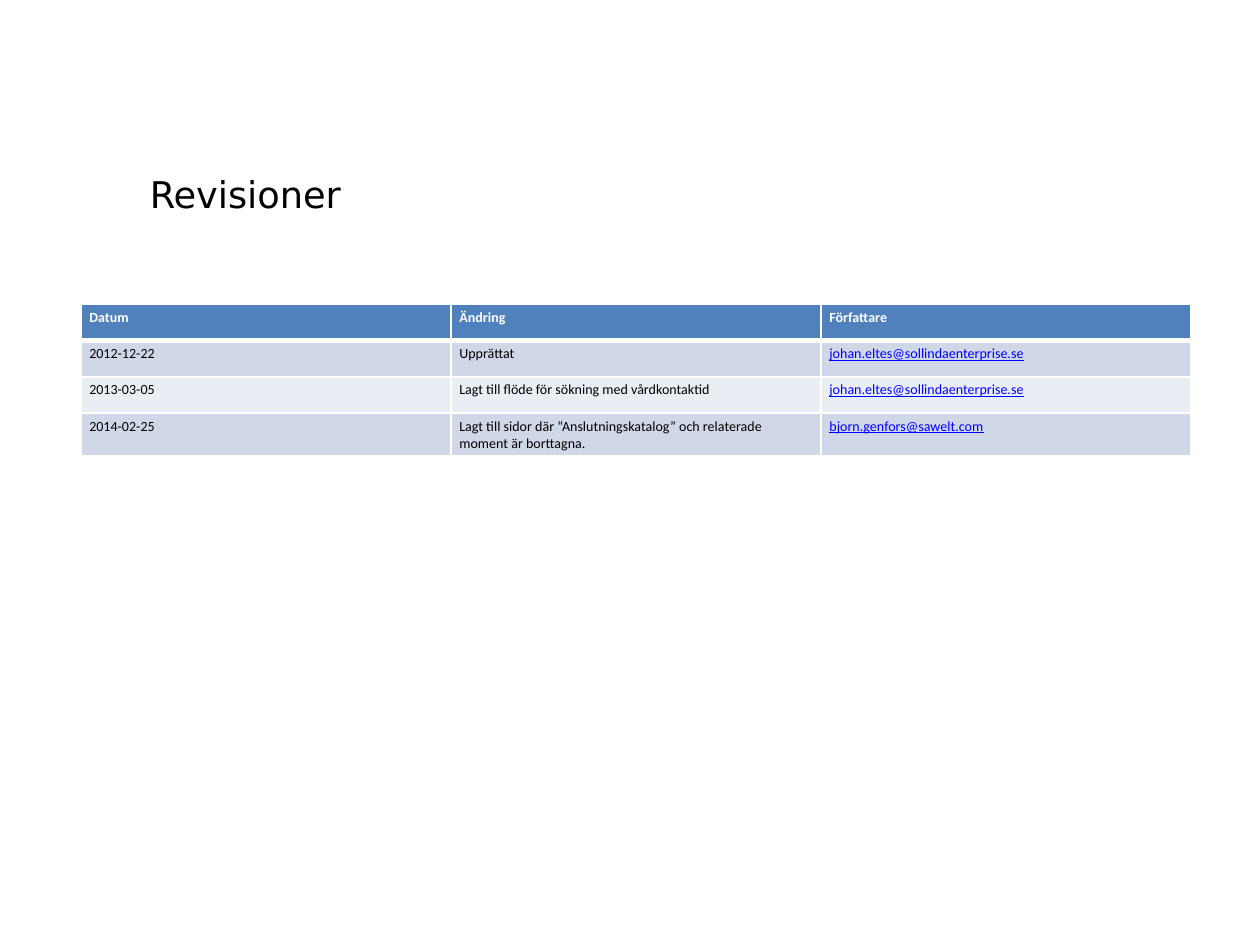
from lxml.etree import SubElement
from pptx import Presentation
from pptx.dml.color import RGBColor
from pptx.enum.text import MSO_ANCHOR
from pptx.oxml.ns import qn
from pptx.util import Cm, Pt


def color(value):
    return RGBColor.from_string(value)


class SlideBuilder:
    title_font = "DejaVu Sans"
    table_font = "Calibri"
    black = "000000"
    white = "FFFFFF"
    link_blue = "0000FF"
    header_fill = "4F81BD"
    band_fills = ("D0D8E8", "E9EDF4")

    def __init__(self, presentation):
        self.slide = presentation.slides.add_slide(presentation.slide_layouts[6])

    def format_text(self, text_frame, font_name, size, text_color, bold=False, underline=False):
        for paragraph in text_frame.paragraphs:
            for run in paragraph.runs:
                run.font.name = font_name
                run.font.size = Pt(size)
                run.font.color.rgb = color(text_color)
                run.font.bold = bold
                run.font.underline = underline

    def title(self, text, left, top, width, height):
        shape = self.slide.shapes.add_textbox(Cm(left), Cm(top), Cm(width), Cm(height))
        text_frame = shape.text_frame
        text_frame.word_wrap = True
        text_frame.vertical_anchor = MSO_ANCHOR.MIDDLE
        text_frame.text = text
        self.format_text(text_frame, self.title_font, 21, self.black)

    def borders(self, cell, bottom, top):
        properties = cell._tc.get_or_add_tcPr()
        widths = {"a:lnL": 1, "a:lnR": 1, "a:lnT": top, "a:lnB": bottom}
        for tag, width in widths.items():
            line = SubElement(properties, qn(tag), w=str(Pt(width)))
            fill = SubElement(line, qn("a:solidFill"))
            SubElement(fill, qn("a:srgbClr"), val=self.white)

    def cell(self, cell, text, row, is_link):
        is_header = row == 0
        cell.margin_left = cell.margin_right = Cm(0.17)
        cell.margin_top = cell.margin_bottom = Cm(0.09)
        cell.text_frame.text = text
        text_color = self.white if is_header else self.link_blue if is_link else self.black
        self.format_text(cell.text_frame, self.table_font, 8, text_color, is_header, is_link)
        self.borders(cell, bottom=3 if is_header else 1, top=3 if row == 1 else 1)
        cell.fill.solid()
        fill = self.header_fill if is_header else self.band_fills[(row - 1) % 2]
        cell.fill.fore_color.rgb = color(fill)

    def table(self, rows, left, top, column_width, row_height):
        column_count = len(rows[0])
        table = self.slide.shapes.add_table(
            len(rows), column_count, Cm(left), Cm(top),
            Cm(column_width * column_count), Cm(row_height * len(rows))).table
        for column in table.columns:
            column.width = Cm(column_width)
        for row, texts in enumerate(rows):
            table.rows[row].height = Cm(row_height)
            for column, text in enumerate(texts):
                self.cell(table.cell(row, column), text, row, "@" in text)


presentation = Presentation()
presentation.slide_width = Cm(25.4)
presentation.slide_height = Cm(19.05)

revisions = [
    ("Datum", "Ändring", "Författare"),
    ("2012-12-22", "Upprättat", "johan.eltes@sollindaenterprise.se"),
    ("2013-03-05", "Lagt till flöde för sökning med vårdkontaktid",
     "johan.eltes@sollindaenterprise.se"),
    ("2014-02-25",
     "Lagt till sidor där “Anslutningskatalog” och relaterade moment är borttagna.",
     "bjorn.genfors@sawelt.com"),
]

builder = SlideBuilder(presentation)
builder.title("Revisioner", 2.77, 2.82, 21.23, 2.16)
builder.table(revisions, 1.63, 6.14, 7.46, 0.73)

presentation.save("out.pptx")
